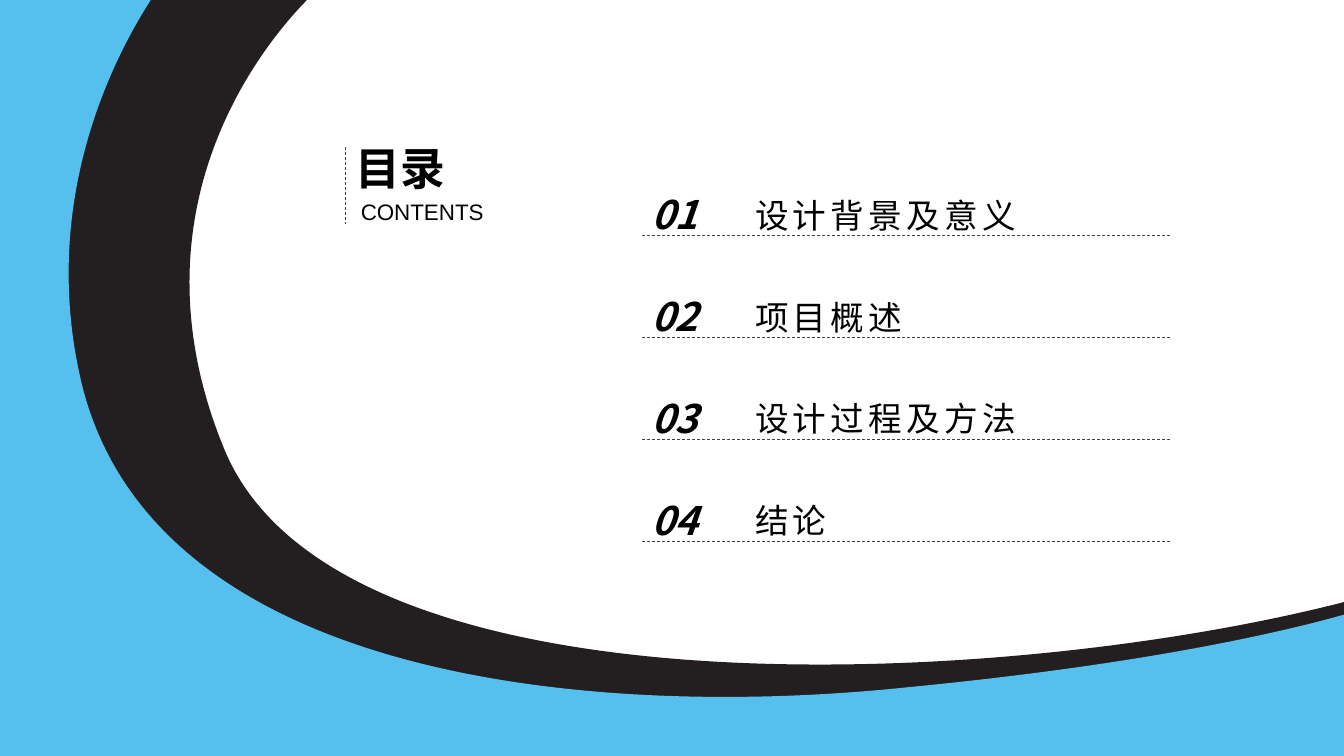
from dataclasses import dataclass

from lxml import etree
from pptx import Presentation
from pptx.dml.color import RGBColor
from pptx.enum.dml import MSO_LINE
from pptx.enum.shapes import MSO_CONNECTOR
from pptx.enum.text import MSO_ANCHOR, MSO_AUTO_SIZE, PP_ALIGN
from pptx.oxml.ns import qn
from pptx.util import Inches, Pt

DASH = MSO_LINE.DASH
STRAIGHT = MSO_CONNECTOR.STRAIGHT
TOP = MSO_ANCHOR.TOP
NO_FIT = MSO_AUTO_SIZE.NONE
LEFT = PP_ALIGN.LEFT

TITLE = "目录"
SUBTITLE = "CONTENTS"
TOPICS = ["设计背景及意义", "项目概述", "设计过程及方法", "结论"]

BLACK_SWOOSH = ((3.16, -0.11), [
    ((3.16, -0.11), (1.07, 1.68), (2.23, 4.47)),
    ((3.48, 7.44), (11.37, 6.73), (14.2, 5.71)),
    ((13.05, 6.59), (13.05, 6.59), (13.05, 6.59)),
    ((13.05, 6.59), (4.3, 8.16), (1.5, 6.41)),
    ((-1.31, 4.68), (0.28, -0.13), (1.62, -0.6)),
    ((2.94, -1.08), (3.16, -0.11), (3.16, -0.11)),
])
BLUE_CORNER = ((1.74, -0.34), [
    ((1.74, -0.34), (0.26, 1.39), (0.8, 3.76)),
    ((1.49, 6.77), (5.93, 7.14), (8.99, 6.82)),
    ((12.41, 6.49), (13.77, 5.96), (13.77, 5.96)),
    ((13.55, 7.9), (13.55, 7.9), (13.55, 7.9)),
    ((-0.89, 7.74), (-0.89, 7.74), (-0.89, 7.74)),
    ((-0.87, -0.2), (-0.87, -0.2), (-0.87, -0.2)),
])

WIDTH, HEIGHT = 13.33, 7.5
HEADING_LEFT = 3.43
NUMBER_LEFT, TOPIC_LEFT, RULE_RIGHT = 6.37, 7.39, 11.62
FIRST_RULE, ROW_PITCH = 2.34, 1.01
NUMBER_RISE, TOPIC_RISE = 0.5, 0.46


@dataclass(frozen=True)
class Theme:
    blue: RGBColor = RGBColor(0x55, 0xC0, 0xEE)
    black: RGBColor = RGBColor(0x23, 0x1F, 0x20)
    text: RGBColor = RGBColor(0, 0, 0)
    rule: RGBColor = RGBColor(0x40, 0x40, 0x40)
    heading_font: str = "Arial"
    list_font: str = "Noto Sans CJK SC"
    title_size: int = 32
    subtitle_size: int = 16
    number_size: int = 28
    topic_size: int = 24
    topic_gap: int = 44
    tracking: int = 300
    rule_width: float = 0.5


THEME = Theme()


def add_swoosh(page, outline, color):
    start, curves = outline
    points = [tuple(map(Inches, point)) for curve in curves for point in curve]
    builder = page.shapes.build_freeform(*map(Inches, start))
    builder.add_line_segments(points, close=True)
    swoosh = builder.convert_to_shape()
    lines = list(swoosh._element.iter(qn("a:lnTo")))
    for first in range(0, len(curves) * 3, 3):
        curve = etree.Element(qn("a:cubicBezTo"))
        lines[first].addprevious(curve)
        for line in lines[first:first + 3]:
            curve.append(line[0])
            line.getparent().remove(line)
    swoosh.shadow.inherit = False
    swoosh.fill.solid()
    swoosh.fill.fore_color.rgb = color
    swoosh.line.fill.background()


def add_rule(page, x1, y1, x2, y2):
    rule = page.shapes.add_connector(STRAIGHT, *map(Inches, (x1, y1, x2, y2)))
    rule.line.color.rgb = THEME.rule
    rule.line.width = Pt(THEME.rule_width)
    rule.line.dash_style = DASH
    etree.SubElement(rule._element.spPr, qn("a:effectLst"))


def write(box, place, lines, font, size, bold=False, italic=False, tracking=0, gap=0):
    box.left, box.top, box.width, box.height = map(Inches, place)
    frame = box.text_frame
    frame.text = "\n".join(lines)
    frame.word_wrap = True
    frame.auto_size = NO_FIT
    frame.vertical_anchor = TOP
    for para in frame.paragraphs:
        para.alignment = LEFT
        para.line_spacing = 1.0
        para.space_before = Pt(0)
        para.space_after = Pt(gap)
        properties = para._p.get_or_add_pPr()
        properties.set("marL", "0")
        properties.set("indent", "0")
        etree.SubElement(properties, qn("a:buNone"))
        for span in para.runs:
            span.font.name = font
            span.font.size = Pt(size)
            span.font.bold = bold
            span.font.italic = italic
            span.font.color.rgb = THEME.text
            run_properties = span._r.get_or_add_rPr()
            etree.SubElement(run_properties, qn("a:ea")).set("typeface", font)
            if tracking:
                run_properties.set("spc", str(tracking))


def add_text(page, place, line, *style, **options):
    box = page.shapes.add_textbox(*map(Inches, place))
    write(box, place, [line], *style, **options)


def main():
    deck = Presentation()
    deck.slide_width, deck.slide_height = Inches(WIDTH), Inches(HEIGHT)
    page = deck.slides.add_slide(deck.slide_layouts[1])

    add_swoosh(page, BLACK_SWOOSH, THEME.black)
    add_swoosh(page, BLUE_CORNER, THEME.blue)

    write(page.shapes.title, (HEADING_LEFT, 1.35, 2.14, 0.64), [TITLE],
          THEME.heading_font, THEME.title_size, bold=True)
    add_text(page, (HEADING_LEFT + 0.05, 1.92, 1.86, 0.37), SUBTITLE,
             THEME.heading_font, THEME.subtitle_size)
    add_rule(page, HEADING_LEFT, 1.46, HEADING_LEFT, 2.22)

    for row in range(len(TOPICS)):
        rule_y = FIRST_RULE + row * ROW_PITCH
        add_rule(page, NUMBER_LEFT, rule_y, RULE_RIGHT, rule_y)
        add_text(page, (NUMBER_LEFT - 0.01, rule_y - NUMBER_RISE, 0.8, 0.57), f"{row + 1:02}",
                 THEME.list_font, THEME.number_size, bold=True, italic=True)

    list_height = (len(TOPICS) - 1) * ROW_PITCH + 0.5
    write(page.placeholders[1], (TOPIC_LEFT, FIRST_RULE - TOPIC_RISE, 3.64, list_height),
          TOPICS, THEME.list_font, THEME.topic_size,
          tracking=THEME.tracking, gap=THEME.topic_gap)

    deck.save("out.pptx")


if __name__ == "__main__":
    main()
